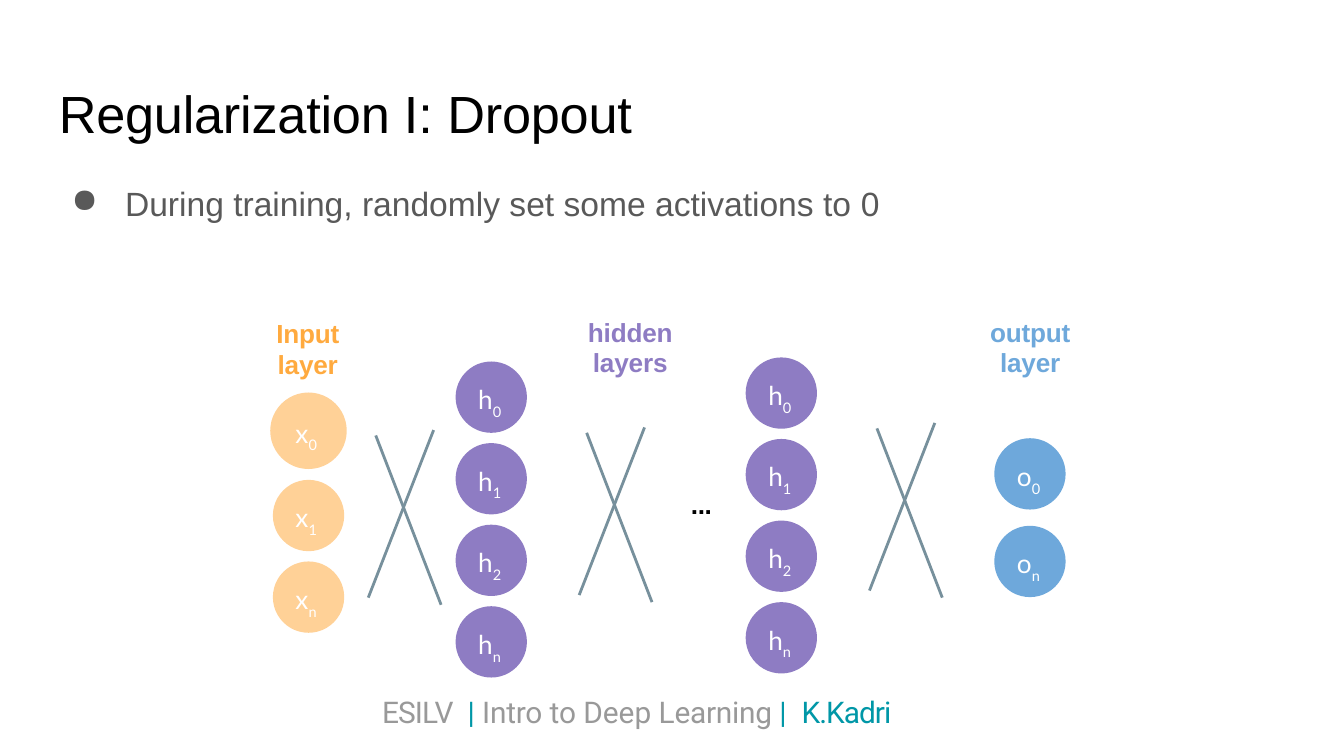
import pptx
import pptx.dml.color
import pptx.enum.shapes
import pptx.enum.text
import pptx.oxml.ns
import pptx.util
from lxml import etree

Pt = pptx.util.Pt
qn = pptx.oxml.ns.qn
ORANGE, PURPLE, BLUE = "FFAA3F", "8E7CC3", "6EA8DB"
GREY, TEAL = "999999", "0097A7"

deck = pptx.Presentation()
deck.slide_width, deck.slide_height = Pt(720), Pt(405)
slide = deck.slides.add_slide(deck.slide_layouts[6])


def rgb(code):
    return pptx.dml.color.RGBColor.from_string(code)


def add_text(runs, left, top, width, height, size, font="Arial", color="000000", bold=False,
             inset=2, indent=0, hanging=0, bullet=None, line_spacing=None, centered=False):
    """Add a text box; each run is (text, letter spacing, overrides of color, size or baseline)."""
    frame = slide.shapes.add_textbox(Pt(left), Pt(top), Pt(width), Pt(height)).text_frame
    frame.word_wrap = True
    frame.margin_left = frame.margin_right = frame.margin_bottom = 0
    frame.margin_top = Pt(inset)
    paragraph = frame.paragraphs[0]
    properties = paragraph._p.get_or_add_pPr()
    properties.set("marL", str(Pt(indent)))
    properties.set("indent", str(Pt(-hanging)))
    if bullet:
        etree.SubElement(properties, qn("a:buChar")).set("char", bullet)
    if line_spacing:
        paragraph.line_spacing = Pt(line_spacing)
    if centered:
        paragraph.alignment = pptx.enum.text.PP_ALIGN.CENTER
    for text, spacing, changes in runs:
        run = paragraph.add_run()
        run.text = text
        run.font.name = font
        run.font.bold = bold
        run.font.size = Pt(changes.get("size", size))
        run.font.color.rgb = rgb(changes.get("color", color))
        run_properties = run._r.get_or_add_rPr()
        run_properties.set("spc", str(round(spacing * 100)))
        if "baseline" in changes:
            run_properties.set("baseline", str(changes["baseline"] * 1000))


add_text([("Regularization ", -0.1, {}), ("I: ", 0, {}), ("Dropout", -0.1, {})],
         30.5, 39.6, 569.5, 35.3, 28, inset=4, indent=1)
add_text([("During training, randomly set some activations to ", 0, {}), ("0", -0.5, {})],
         37.5, 95.8, 435, 23.8, 18, color="595959", indent=29.5, hanging=28.8, bullet="●")

# Layer captions
for caption, left, top, width, color in [
    ("Input layer", 146.9, 166.3, 36, ORANGE),
    ("hidden layers", 313.9, 165.6, 47.5, PURPLE),
    ("output layer", 529.2, 165.6, 45.4, BLUE),
]:
    add_text([(caption, -0.1, {})], left, top, width, 35.3, 14, color=color, bold=True,
             inset=4, line_spacing=16.5, centered=True)

# Neurons: letter, subscripts, centre of the first one, vertical step, colour
UNIT, FIRST_INPUT, STEP = 38.2, 41, 43.7
for letter, subscripts, center_x, first_y, step, color in [
    ("x", "0", 165.3, 230.8, STEP, ORANGE),
    ("x", "1n", 165.3, 276.2, STEP, ORANGE),
    ("h", "012n", 263.2, 212.8, STEP, PURPLE),
    ("h", "012n", 418.6, 210.6, STEP, PURPLE),
    ("o", "0n", 551.8, 253.9, 46.9, BLUE),
]:
    diameter = FIRST_INPUT if (letter, subscripts) == ("x", "0") else UNIT
    for row, subscript in enumerate(subscripts):
        center_y = first_y + row * step
        neuron = slide.shapes.add_shape(
            pptx.enum.shapes.MSO_SHAPE.OVAL, Pt(center_x - diameter / 2),
            Pt(center_y - diameter / 2), Pt(diameter), Pt(diameter))
        neuron.shadow.inherit = False
        neuron.line.fill.background()
        neuron.fill.solid()
        neuron.fill.fore_color.rgb = rgb(color)
        if color == ORANGE:
            tint = neuron._element.spPr.find(".//" + qn("a:srgbClr"))
            etree.SubElement(tint, qn("a:alpha")).set("val", "54000")
        add_text([(letter, -0.2, {}), (subscript, -0.4, {"size": 13.5, "baseline": -31})],
                 center_x - 9.9, center_y - 9.4, 18.5, 18.7, 14, font="Lato",
                 color="FFFFFF", indent=2.9)

add_text([("...", -0.2, {})], 369.4, 259.9, 13.7, 18.7, 14, bold=True, indent=0.7)

# Crossed links between neighbouring layers
for left, top in [(197.3, 230.4), (310.3, 229), (465.8, 226.6)]:
    for x1, y1, x2, y2 in [(0, 89.8, 35, 0), (39, 93.6, 4, 2.9)]:
        link = slide.shapes.add_connector(
            pptx.enum.shapes.MSO_CONNECTOR.STRAIGHT,
            Pt(left + x1), Pt(top + y1), Pt(left + x2), Pt(top + y2))
        link.line.color.rgb = rgb("77909C")
        link.line.width = Pt(1.5)
        etree.SubElement(link._element.spPr, qn("a:effectLst"))

add_text([("ESILV", -0.5, {}), (" ", 3.5, {}), ("| ", 0, {"color": TEAL}), ("Intro ", -0.1, {}),
          ("to Deep ", 0, {}), ("Learning ", -0.1, {}), ("|", 0, {"color": TEAL}),
          (" ", 4, {}), ("K.Kadri", -0.5, {"color": TEAL})],
         203.8, 371.5, 329, 19.4, 16, font="Roboto", color=GREY, inset=0, indent=1,
         line_spacing=19.1)

deck.save("out.pptx")
